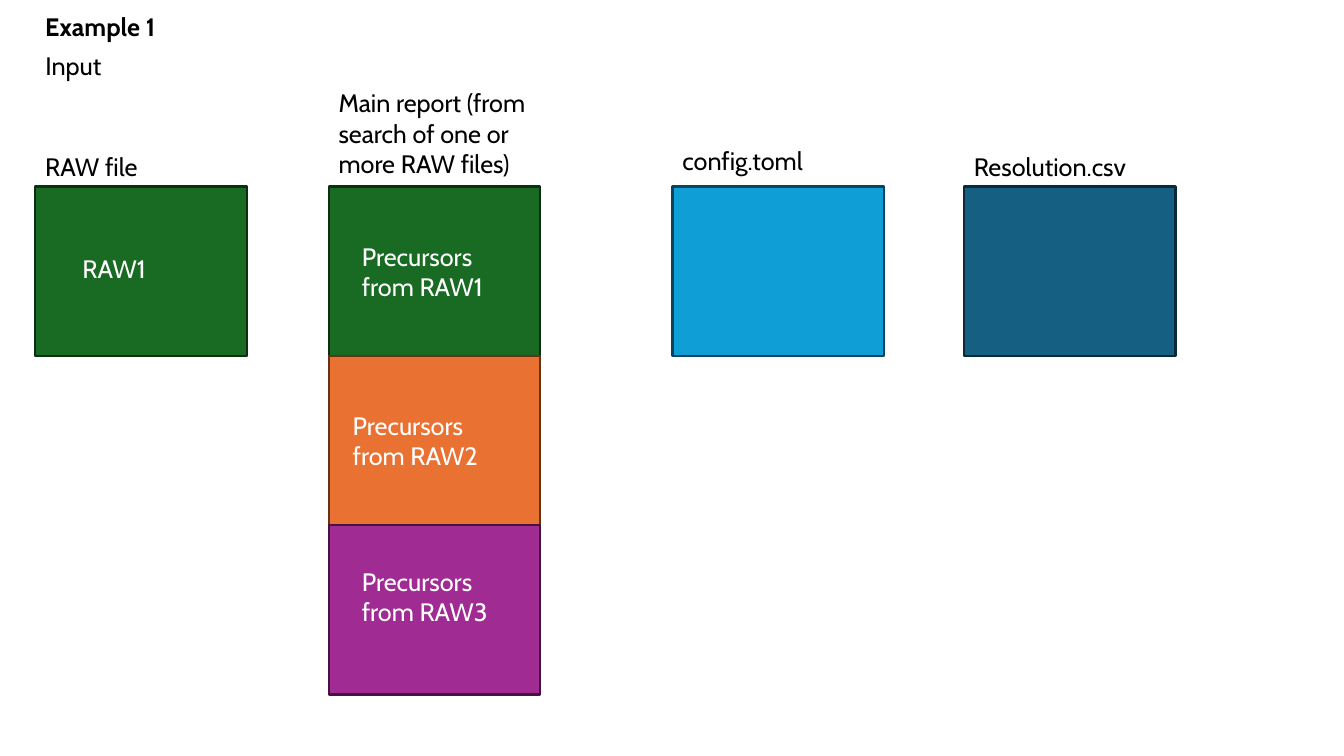
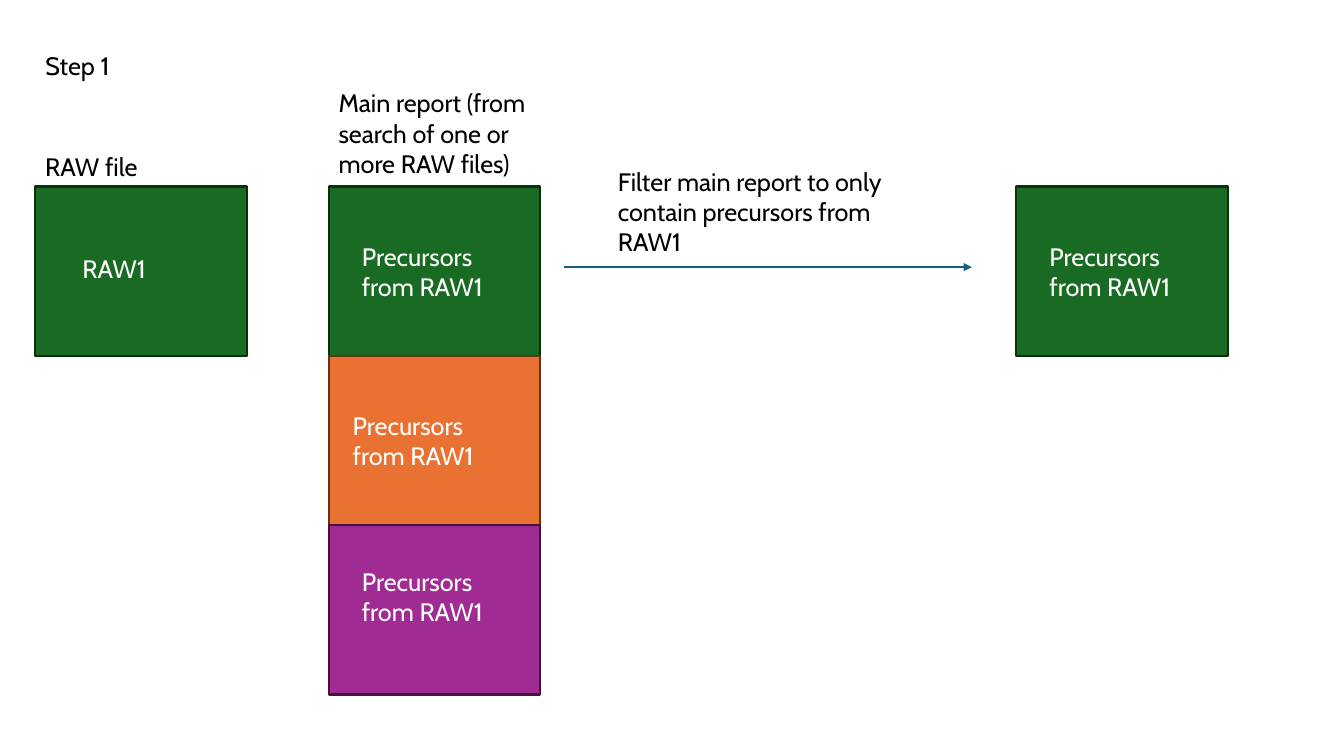
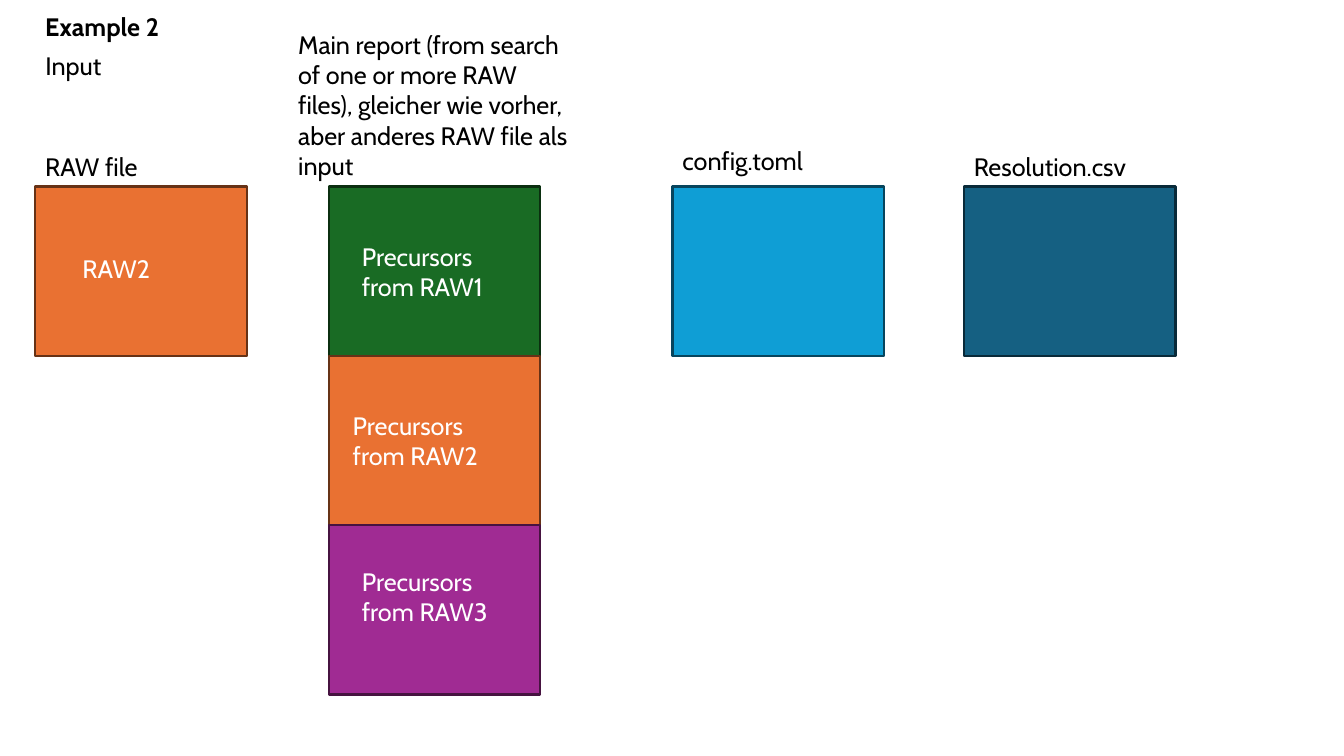
from pptx import Presentation
from pptx.dml.color import RGBColor
from pptx.enum.shapes import MSO_CONNECTOR, MSO_SHAPE
from pptx.enum.text import MSO_ANCHOR, MSO_AUTO_SIZE, PP_ALIGN
from pptx.oxml.ns import qn
from pptx.util import Inches, Pt

RECTANGLE = MSO_SHAPE.RECTANGLE
STRAIGHT = MSO_CONNECTOR.STRAIGHT
TOP = MSO_ANCHOR.TOP
LEFT = PP_ALIGN.LEFT
GROW = MSO_AUTO_SIZE.SHAPE_TO_FIT_TEXT
TITLE_ONLY = 5

# Shared style
FONT, FONT_SIZE, LINE_WIDTH = "Cabin", Pt(18), Pt(1.5)
BLACK = RGBColor(0x00, 0x00, 0x00)
WHITE = RGBColor(0xFF, 0xFF, 0xFF)
DEEP_BLUE = RGBColor(0x15, 0x60, 0x82)
# Fill and outline of each kind of box
GREEN = RGBColor(0x19, 0x6B, 0x24), RGBColor(0x0B, 0x2F, 0x10)
ORANGE = RGBColor(0xE9, 0x71, 0x32), RGBColor(0x66, 0x32, 0x16)
PURPLE = RGBColor(0xA0, 0x2B, 0x93), RGBColor(0x46, 0x13, 0x40)
SKY = RGBColor(0x0F, 0x9E, 0xD5), RGBColor(0x07, 0x45, 0x5D)
NAVY = DEEP_BLUE, RGBColor(0x09, 0x2A, 0x39)

# Grid, in inches
BOX_WIDTH, BOX_HEIGHT, BOX_TOP = 2.1, 1.68, 1.85
RAW_X, REPORT_X, CONFIG_X, RESOLUTION_X, FILTERED_X = 0.35, 3.26, 6.67, 9.56, 10.08
LINE_HEIGHT, TEXT_PADDING = 0.305, 0.1
RAW_LABEL = 0.37, 0.61, 0.97            # offset in the box, then width
PRECURSOR_LABEL = 0.23, 0.49, 1.81
REPORT_COLORS = GREEN, ORANGE, PURPLE
REPORT_LABELS = PRECURSOR_LABEL, (0.14, 0.49, 1.81), (0.23, 0.36, 1.81)

# Content
REPORT_CAPTION = "Main report (from search of one or more RAW files)"
SHORT_CAPTION = REPORT_CAPTION, REPORT_X, 0.82, BOX_WIDTH, 3
LONG_CAPTION = (REPORT_CAPTION + ", gleicher wie vorher, aber anderes RAW file als input",
                2.86, 0.24, 2.9, 5)
SLIDES = [
    {"example": "Example 1", "title": "Input", "raw": ("RAW1", GREEN),
     "caption": SHORT_CAPTION, "sources": ("RAW1", "RAW2", "RAW3")},
    {"title": "Step 1", "raw": ("RAW1", GREEN),
     "caption": SHORT_CAPTION, "sources": ("RAW1", "RAW1", "RAW1"),
     "filter": "Filter main report to only contain precursors from RAW1"},
    {"example": "Example 2", "title": "Input", "raw": ("RAW2", ORANGE),
     "caption": LONG_CAPTION, "sources": ("RAW1", "RAW2", "RAW3")},
]


def write(shape, text, left, top, width, lines=1, color=BLACK, bold=False):
    """Place a text shape and give it the shared text style."""
    shape.left, shape.top, shape.width = Inches(left), Inches(top), Inches(width)
    shape.height = Inches(lines * LINE_HEIGHT + TEXT_PADDING)
    frame = shape.text_frame
    frame.text = text
    frame.word_wrap = True
    frame.auto_size = GROW
    frame.vertical_anchor = TOP
    paragraph = frame.paragraphs[0]
    paragraph.alignment = LEFT
    font = paragraph.font
    font.name, font.size, font.bold = FONT, FONT_SIZE, bold
    font.color.rgb = color


def add_text(slide, *args, **style):
    write(slide.shapes.add_textbox(0, 0, 0, 0), *args, **style)


def add_box(slide, left, top, colors, text="", label=None, lines=1):
    """Draw a data block, with an optional white label at an offset."""
    box = slide.shapes.add_shape(RECTANGLE, Inches(left), Inches(top),
                                 Inches(BOX_WIDTH), Inches(BOX_HEIGHT))
    box.shadow.inherit = False
    box.fill.solid()
    box.fill.fore_color.rgb, box.line.color.rgb = colors
    box.line.width = LINE_WIDTH
    if label:
        offset_x, offset_y, width = label
        add_text(slide, text, left + offset_x, top + offset_y, width, lines, color=WHITE)


def add_arrow(slide, start_x, end_x, y):
    arrow = slide.shapes.add_connector(STRAIGHT, Inches(start_x), Inches(y),
                                       Inches(end_x), Inches(y))
    arrow.line.color.rgb = DEEP_BLUE
    arrow.line.width = LINE_WIDTH
    line = arrow.line._get_or_add_ln()
    line.append(line.makeelement(qn("a:tailEnd"), {"type": "triangle"}))
    properties = arrow._element.spPr
    properties.append(properties.makeelement(qn("a:effectLst"), {}))


def add_raw_and_report(slide, content):
    raw_name, raw_colors = content["raw"]
    add_text(slide, "RAW file", RAW_X, 1.45, BOX_WIDTH)
    add_box(slide, RAW_X, BOX_TOP, raw_colors, raw_name, RAW_LABEL)
    add_text(slide, *content["caption"])
    blocks = zip(content["sources"], REPORT_COLORS, REPORT_LABELS)
    for row, (source, colors, label) in enumerate(blocks):
        add_box(slide, REPORT_X, BOX_TOP + row * BOX_HEIGHT, colors,
                f"Precursors from {source}", label, lines=2)


def add_settings(slide):
    add_box(slide, CONFIG_X, BOX_TOP, SKY)
    add_box(slide, RESOLUTION_X, BOX_TOP, NAVY)
    add_text(slide, "config.toml", CONFIG_X, 1.39, 1.71)
    add_text(slide, "Resolution.csv", RESOLUTION_X, 1.45, 2.01)


def add_filter_step(slide, text):
    add_arrow(slide, 5.59, 9.64, 2.65)
    add_text(slide, text, 6.03, 1.6, 3.37, 3)
    add_box(slide, FILTERED_X, BOX_TOP, GREEN, "Precursors from RAW1",
            PRECURSOR_LABEL, lines=2)


def main():
    presentation = Presentation()
    presentation.slide_width, presentation.slide_height = Inches(13.33), Inches(7.5)
    for content in SLIDES:
        slide = presentation.slides.add_slide(presentation.slide_layouts[TITLE_ONLY])
        write(slide.shapes.title, content["title"], RAW_X, 0.45, 2.9)
        if "example" in content:
            add_text(slide, content["example"], RAW_X, 0.06, 3.48, bold=True)
        add_raw_and_report(slide, content)
        if "filter" in content:
            add_filter_step(slide, content["filter"])
        else:
            add_settings(slide)
    presentation.save("out.pptx")


if __name__ == "__main__":
    main()
